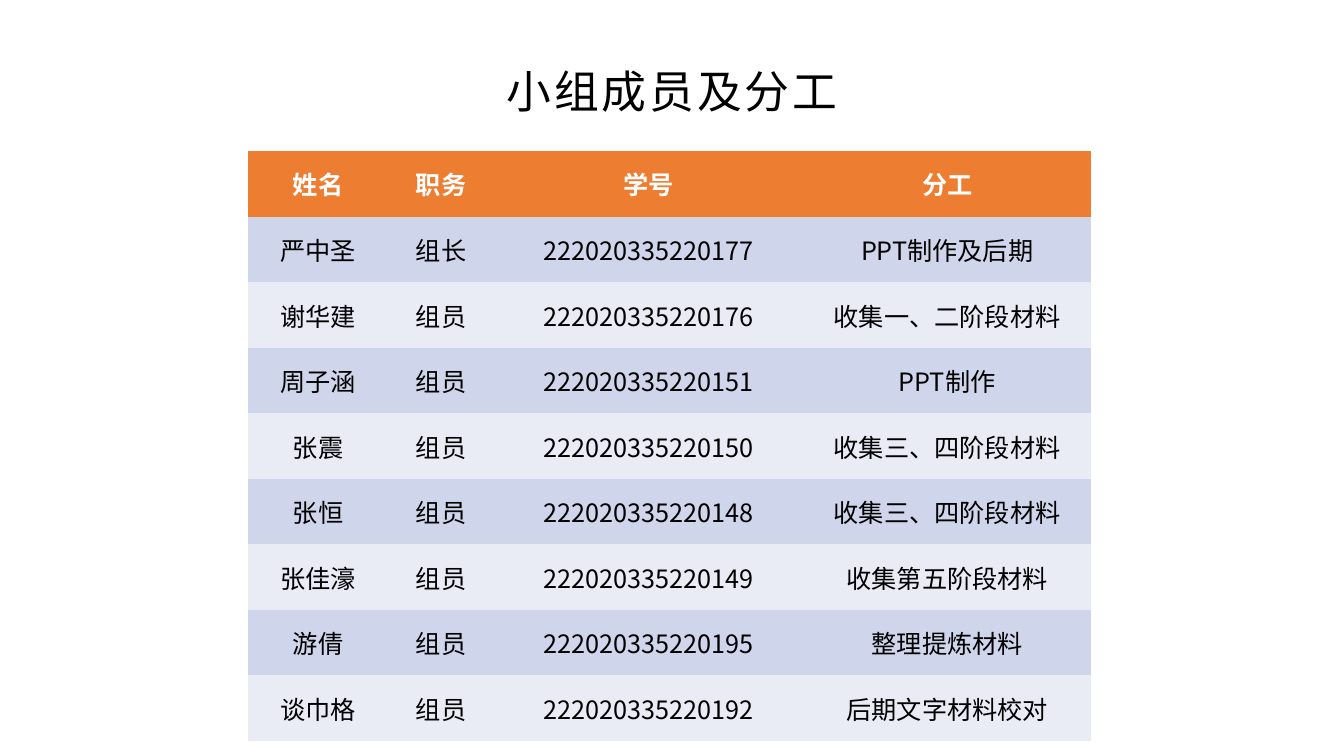
from pptx import Presentation
from pptx.dml.color import RGBColor
from pptx.enum.text import MSO_ANCHOR, MSO_AUTO_SIZE, PP_ALIGN
from pptx.oxml.ns import qn
from pptx.util import Inches, Pt
from lxml import etree

CENTER = PP_ALIGN.CENTER
MIDDLE = MSO_ANCHOR.MIDDLE
NO_AUTOFIT = MSO_AUTO_SIZE.NONE
TITLE_ONLY = 5
NO_GRID_STYLE = "{2D5ABB26-0587-4C30-8999-92F81FD0307C}"

HEADERS = ["姓名", "职务", "学号", "分工"]
MEMBERS = [
    ["严中圣", "组长", "222020335220177", "PPT制作及后期"],
    ["谢华建", "组员", "222020335220176", "收集一、二阶段材料"],
    ["周子涵", "组员", "222020335220151", "PPT制作"],
    ["张震", "组员", "222020335220150", "收集三、四阶段材料"],
    ["张恒", "组员", "222020335220148", "收集三、四阶段材料"],
    ["张佳濠", "组员", "222020335220149", "收集第五阶段材料"],
    ["游倩", "组员", "222020335220195", "整理提炼材料"],
    ["谈巾格", "组员", "222020335220192", "后期文字材料校对"],
]


def rgb(value):
    return RGBColor.from_string(value)


class SlideBuilder:
    font = "Noto Sans CJK SC"
    black, white = "000000", "FFFFFF"
    header_fill = "ED7D31"
    band_fills = ["CFD5EA", "E9EBF5"]

    def __init__(self, prs):
        self.slide = prs.slides.add_slide(prs.slide_layouts[TITLE_ONLY])

    def add_text(self, tf, text, size=18, color=black, bold=False, spacing=0):
        """Put one centred run in a text frame; spacing is in points."""
        p = tf.paragraphs[0]
        p.alignment = CENTER
        r = p.add_run()
        r.text = text
        r.font.size = Pt(size)
        r.font.bold = bold
        r.font.name = self.font
        r.font.color.rgb = rgb(color)
        rPr = r._r.get_or_add_rPr()
        etree.SubElement(rPr, qn("a:ea")).set("typeface", self.font)
        if spacing:
            rPr.set("spc", str(spacing * 100))

    def title(self, text, left, top, width, height):
        sp = self.slide.shapes.title
        sp.left, sp.top = Inches(left), Inches(top)
        sp.width, sp.height = Inches(width), Inches(height)
        tf = sp.text_frame
        tf.auto_size = NO_AUTOFIT
        tf.vertical_anchor = MIDDLE
        tf.margin_left = tf.margin_right = tf.margin_top = tf.margin_bottom = 0
        self.add_text(tf, text, size=32, spacing=2)

    def table(self, rows, left, top, col_widths, row_height):
        """Add a table with a coloured header row and banded body rows."""
        table = self.slide.shapes.add_table(
            len(rows), len(col_widths), Inches(left), Inches(top),
            Inches(sum(col_widths)), Inches(row_height * len(rows))).table
        table.horz_banding = False
        table._tbl.tblPr.find(qn("a:tableStyleId")).text = NO_GRID_STYLE
        for column, width in zip(table.columns, col_widths):
            column.width = Inches(width)
        for i, values in enumerate(rows):
            table.rows[i].height = Inches(row_height)
            header = i == 0
            fill = self.header_fill if header else self.band_fills[(i - 1) % 2]
            color = self.white if header else self.black
            for j, value in enumerate(values):
                cell = table.cell(i, j)
                cell.fill.solid()
                cell.fill.fore_color.rgb = rgb(fill)
                cell.vertical_anchor = MIDDLE
                self.add_text(cell.text_frame, value, color=color, bold=header)


def main():
    prs = Presentation()
    prs.slide_width, prs.slide_height = Inches(13.33), Inches(7.5)
    s = SlideBuilder(prs)
    s.title("小组成员及分工", 4.36, 0.58, 4.61, 0.64)
    s.table([HEADERS] + MEMBERS, 2.46, 1.5, [1.39, 1.05, 3.07, 2.85], 0.65)
    prs.save("out.pptx")


if __name__ == "__main__":
    main()
